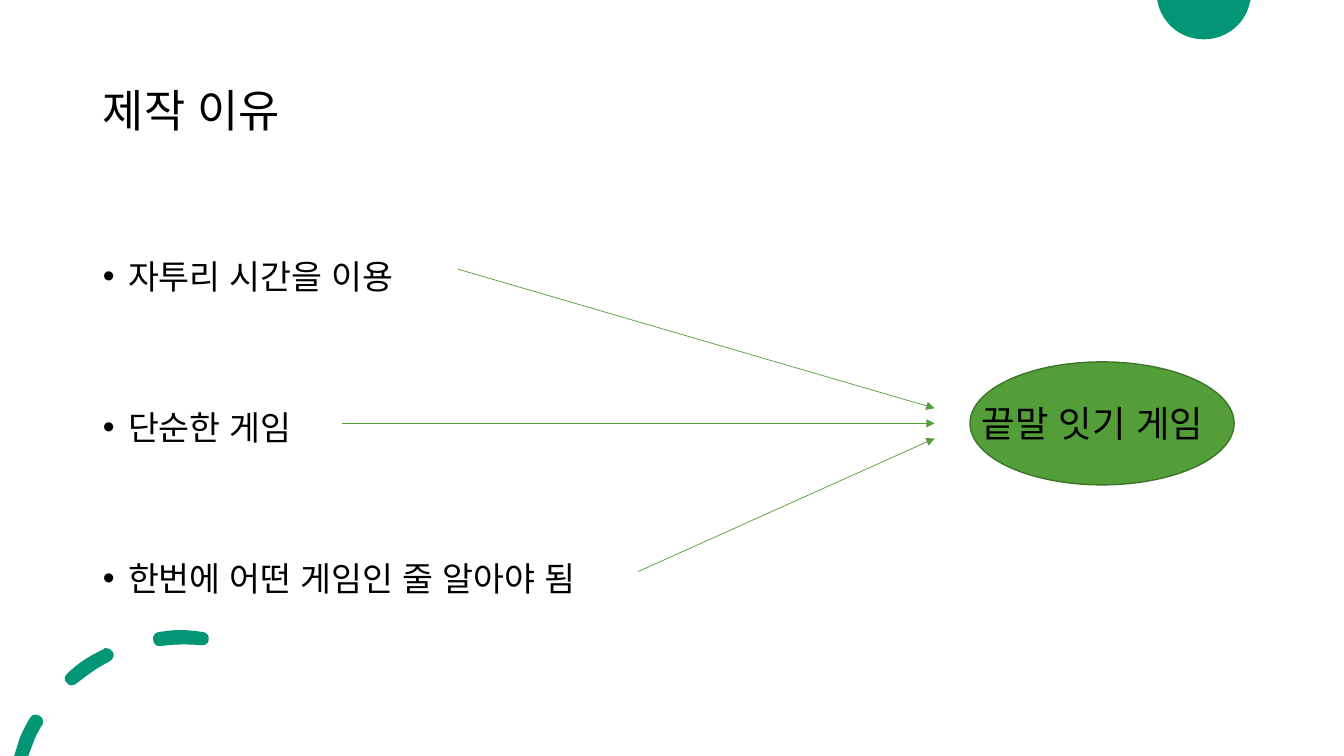
import pptx
import pptx.util
import pptx.dml.color
import pptx.enum.shapes
import pptx.enum.text
import pptx.oxml.ns
from lxml import etree

Inches, Pt = pptx.util.Inches, pptx.util.Pt
RGBColor = pptx.dml.color.RGBColor
qn = pptx.oxml.ns.qn

TEAL = RGBColor(0x02, 0x96, 0x76)
GREEN = RGBColor(0x54, 0x9E, 0x39)
DARK_GREEN = RGBColor(0x3E, 0x75, 0x2A)
BLACK = RGBColor(0, 0, 0)
FONT = "Quicksand"


def add_run(p, text, size):
    r = p.add_run()
    r.text = text
    r.font.name = FONT
    r.font.size = Pt(size)
    r.font.color.rgb = BLACK
    rPr = r._r.get_or_add_rPr()
    rPr.set("lang", "ko-KR")
    etree.SubElement(rPr, qn("a:ea")).set("typeface", FONT)


def add_outline(shapes, contours):
    """Draw contours of (start, segments); a segment is a line (2 numbers) or a cubic (6)."""
    builder = None
    for start, segments in contours:
        x, y = map(Inches, start)
        if builder is None:
            builder = shapes.build_freeform(x, y)
        else:
            builder.move_to(x, y)
        points = [(Inches(seg[i]), Inches(seg[i + 1]))
                  for seg in segments for i in range(0, len(seg), 2)]
        builder.add_line_segments(points, close=True)
    sp = builder.convert_to_shape()

    # Join the three points of each cubic into one curve
    lines = iter(list(sp._element.iter(qn("a:lnTo"))))
    for _, segments in contours:
        for seg in segments:
            line = next(lines)
            if len(seg) == 6:
                curve = etree.Element(qn("a:cubicBezTo"))
                line.addprevious(curve)
                for part in (line, next(lines), next(lines)):
                    curve.append(part[0])
                    part.getparent().remove(part)
    return sp


prs = pptx.Presentation()
prs.slide_width = Inches(13.33)
prs.slide_height = Inches(7.5)
slide = prs.slides.add_slide(prs.slide_layouts[1])
shapes = slide.shapes

# Title
title = shapes.title
title.left, title.top, title.width, title.height = map(Inches, (0.92, 0.4, 11.5, 1.45))
tf = title.text_frame
tf.auto_size = pptx.enum.text.MSO_AUTO_SIZE.NONE
tf.vertical_anchor = pptx.enum.text.MSO_ANCHOR.MIDDLE
p = tf.paragraphs[0]
p.alignment = pptx.enum.text.PP_ALIGN.LEFT
p.line_spacing = 0.9
add_run(p, "제작 이유", 32)

# Reasons
body = slide.placeholders[1]
body.left, body.top, body.width, body.height = map(Inches, (0.92, 2, 11.5, 4.22))
tf = body.text_frame
tf.auto_size = pptx.enum.text.MSO_AUTO_SIZE.NONE
tf.margin_top = Inches(0.52)
for i, reason in enumerate(["자투리 시간을 이용", "단순한 게임", "한번에 어떤 게임인 줄 알아야 됨"]):
    p = tf.add_paragraph() if i else tf.paragraphs[0]
    p.line_spacing = Pt(30)
    p.space_before = Pt(0)
    p.space_after = Pt(77.8)
    pPr = p._p.get_or_add_pPr()
    pPr.set("marL", str(Inches(0.25)))
    pPr.set("indent", str(-Inches(0.25)))
    etree.SubElement(pPr, qn("a:buFont")).set("typeface", "Arial")
    etree.SubElement(pPr, qn("a:buChar")).set("char", "•")
    add_run(p, reason, 24)

# Corner decorations
corner_circle = [
    ((11.48, 0), [(12.41, 0), (12.4, 0.01), (12.36, 0.23, 12.17, 0.39, 11.94, 0.39),
                  (11.71, 0.39, 11.52, 0.23, 11.48, 0.01)]),
]
dashed_arc = [
    ((0.36, 7.09), [(0.34, 7.08, 0.31, 7.1, 0.3, 7.12), (0.26, 7.18, 0.23, 7.25, 0.2, 7.31),
                    (0.14, 7.5), (0.28, 7.5), (0.33, 7.37),
                    (0.35, 7.31, 0.38, 7.25, 0.42, 7.19), (0.44, 7.16, 0.42, 7.11, 0.39, 7.1),
                    (0.38, 7.09, 0.37, 7.09, 0.36, 7.09)]),
    ((1.05, 6.43), [(1.04, 6.43, 1.03, 6.43, 1.03, 6.44), (0.9, 6.5, 0.77, 6.58, 0.67, 6.68),
                    (0.64, 6.7, 0.63, 6.75, 0.66, 6.77), (0.67, 6.79, 0.69, 6.8, 0.71, 6.8),
                    (0.71, 6.8), (0.73, 6.8, 0.74, 6.79, 0.76, 6.78),
                    (0.86, 6.7, 0.97, 6.62, 1.09, 6.56), (1.12, 6.54, 1.14, 6.5, 1.12, 6.47),
                    (1.11, 6.44, 1.08, 6.43, 1.05, 6.43)]),
    ((1.79, 6.25), [(1.72, 6.25, 1.65, 6.26, 1.58, 6.27), (1.54, 6.27, 1.51, 6.31, 1.52, 6.35),
                    (1.52, 6.38, 1.55, 6.41, 1.58, 6.41), (1.59, 6.41, 1.59, 6.41, 1.59, 6.41),
                    (1.73, 6.39, 1.86, 6.39, 1.99, 6.4), (2.03, 6.41, 2.07, 6.38, 2.07, 6.35),
                    (2.08, 6.31, 2.05, 6.27, 2.01, 6.27), (2.01, 6.27, 2.01, 6.27, 2.01, 6.27),
                    (1.94, 6.26, 1.86, 6.25, 1.79, 6.25)]),
]
for contours in (corner_circle, dashed_arc):
    sp = add_outline(shapes, contours)
    sp.shadow.inherit = False
    sp.fill.solid()
    sp.fill.fore_color.rgb = TEAL
    sp.line.fill.background()

# Result
oval = shapes.add_shape(pptx.enum.shapes.MSO_SHAPE.OVAL, *map(Inches, (9.62, 3.59, 2.62, 1.22)))
oval.shadow.inherit = False
oval.fill.solid()
oval.fill.fore_color.rgb = GREEN
oval.line.color.rgb = DARK_GREEN
oval.line.width = Pt(1)

label = shapes.add_textbox(*map(Inches, (9.64, 3.93, 2.59, 0.54)))
tf = label.text_frame
tf.word_wrap = False
tf.auto_size = pptx.enum.text.MSO_AUTO_SIZE.SHAPE_TO_FIT_TEXT
add_run(tf.paragraphs[0], "끝말 잇기 게임", 26)

# Arrows from each reason to the result
for x1, y1, y2 in [(4.54, 2.67, 4.05), (3.39, 4.2, 4.2), (6.33, 5.67, 4.35)]:
    arrow = shapes.add_connector(pptx.enum.shapes.MSO_CONNECTOR.STRAIGHT,
                                 *map(Inches, (x1, y1, 9.27, y2)))
    arrow.line.color.rgb = GREEN
    arrow.line.width = Pt(0.5)
    etree.SubElement(arrow.line._get_or_add_ln(), qn("a:tailEnd")).set("type", "triangle")
    etree.SubElement(arrow._element.spPr, qn("a:effectLst"))

prs.save("out.pptx")
